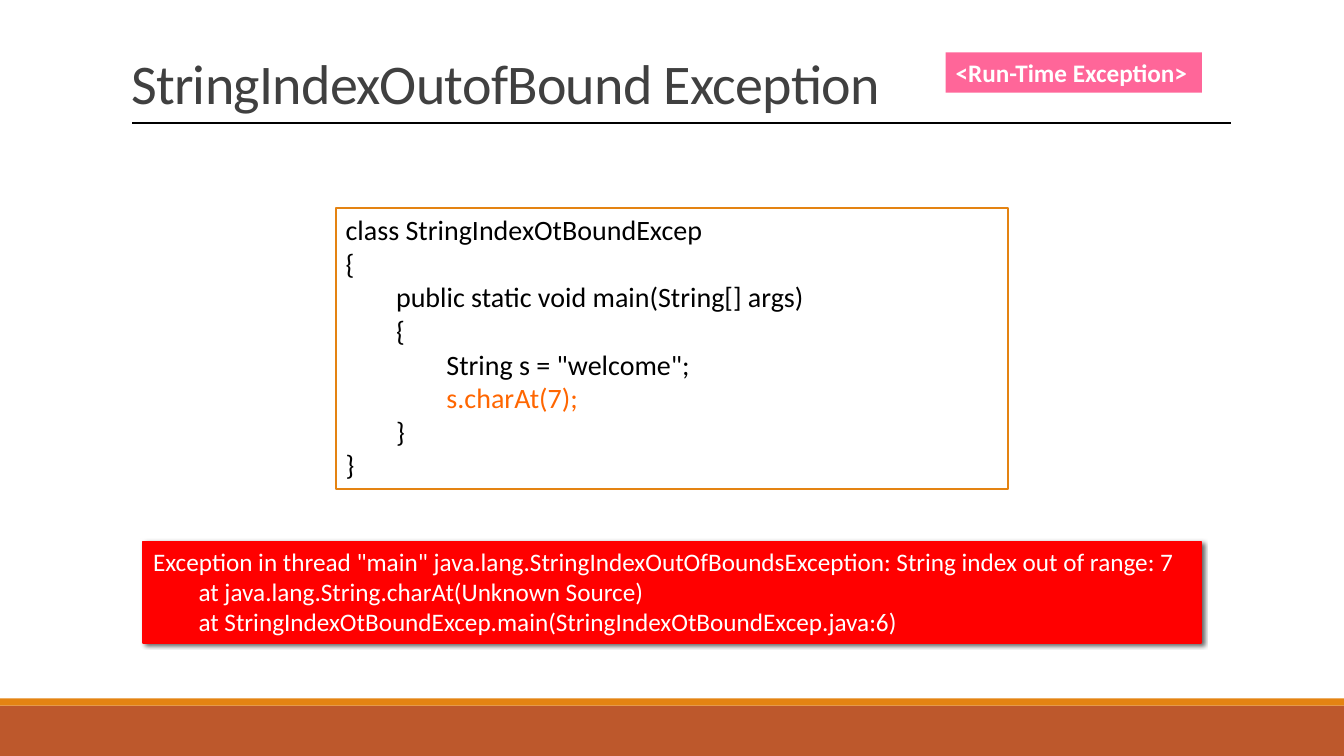
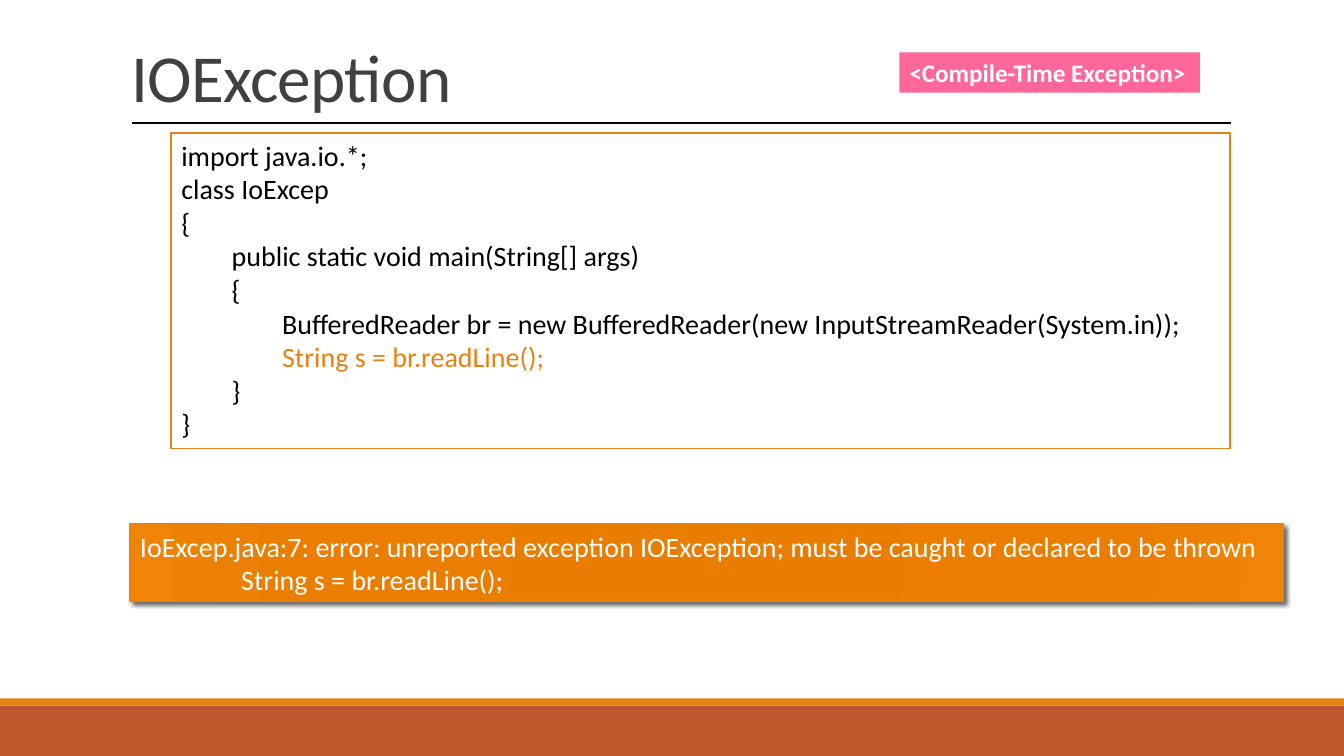
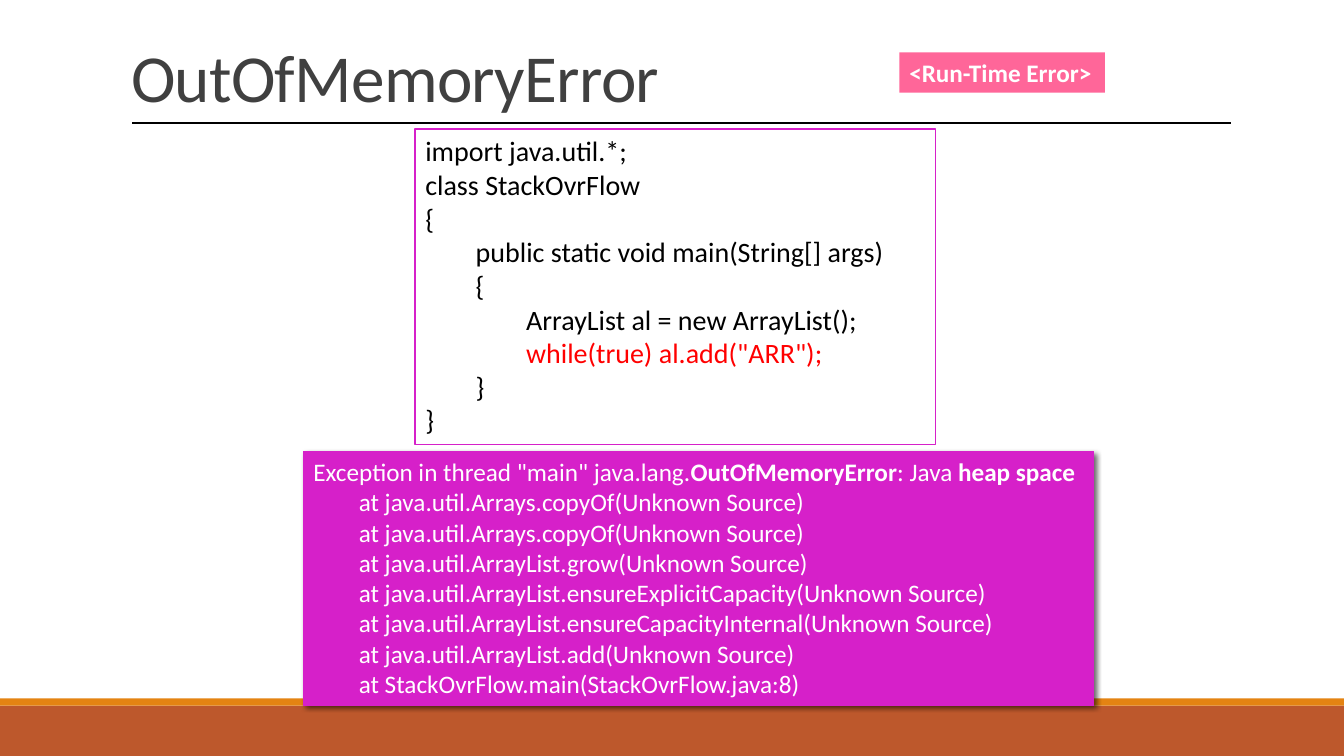
import pptx
import pptx.dml.color
import pptx.enum.shapes
import pptx.enum.text
import pptx.oxml
import pptx.oxml.ns
import pptx.util

Inches = pptx.util.Inches
Pt = pptx.util.Pt
NS = pptx.oxml.ns.nsdecls("a")

COLORS = {
    "white": "FFFFFF",
    "black": "000000",
    "title": "404040",
    "rust": "BD582C",
    "amber": "E48312",
    "orange": "FF6600",
    "red": "FF0000",
    "pink": "FF6699",
    "magenta": "D620C9",
}
AMBER_GLOW = [(0, "E57B00"), (34, "E87D00"), (70, "EB7E00"), (100, "EF8407")]


def rgb(name):
    return pptx.dml.color.RGBColor.from_string(COLORS[name])


def add_run(p, text, size=20, color="black", bold=False, spacing=None):
    """Append one formatted run to a paragraph."""
    r = p.add_run()
    r.text = text
    r.font.name = "Calibri"
    r.font.size = Pt(size)
    r.font.bold = bold
    r.font.color.rgb = rgb(color)
    if spacing is not None:
        r.font._element.set("spc", str(int(spacing * 100)))


class Deck:
    """Holds the shared style and the slide being built."""

    def __init__(self):
        self.prs = pptx.Presentation()
        self.prs.slide_width = Inches(13.33)
        self.prs.slide_height = Inches(7.5)
        self.slide = None

    def add_slide(self, title, size=48):
        self.slide = self.prs.slides.add_slide(self.prs.slide_layouts[5])
        # Bottom bands and title rule
        self.rect(0, 7, 13.33, 0.5, "rust")
        self.rect(0, 6.93, 13.33, 0.07, "amber")
        rule = self.slide.shapes.add_connector(
            pptx.enum.shapes.MSO_CONNECTOR.STRAIGHT,
            Inches(1.31), Inches(1.22), Inches(12.21), Inches(1.22))
        rule.line.color.rgb = rgb("black")
        rule.line.width = Pt(1)
        rule._element.spPr.append(pptx.oxml.parse_xml(f"<a:effectLst {NS}/>"))
        # Title
        sp = self.slide.shapes.title
        sp.left, sp.top = Inches(1.2), Inches(0.25)
        sp.width, sp.height = Inches(11), Inches(0.95)
        tf = sp.text_frame
        tf.auto_size = pptx.enum.text.MSO_AUTO_SIZE.NONE
        tf.vertical_anchor = pptx.enum.text.MSO_ANCHOR.BOTTOM
        p = tf.paragraphs[0]
        p.alignment = pptx.enum.text.PP_ALIGN.LEFT
        p.line_spacing = 0.85
        add_run(p, title, size=size, color="title", spacing=-0.5)

    def rect(self, x, y, w, h, fill, line=None, width=1):
        sp = self.slide.shapes.add_shape(
            pptx.enum.shapes.MSO_SHAPE.RECTANGLE,
            Inches(x), Inches(y), Inches(w), Inches(h))
        sp.shadow.inherit = False
        sp.fill.solid()
        sp.fill.fore_color.rgb = rgb(fill)
        if line:
            sp.line.color.rgb = rgb(line)
            sp.line.width = Pt(width)
        else:
            sp.line.fill.background()
        return sp

    def paragraphs(self, sp, lines, wrap=True):
        """Yield a left-aligned paragraph with each line of text."""
        tf = sp.text_frame
        tf.word_wrap = wrap
        tf.auto_size = pptx.enum.text.MSO_AUTO_SIZE.SHAPE_TO_FIT_TEXT
        tf.vertical_anchor = pptx.enum.text.MSO_ANCHOR.TOP
        for i, text in enumerate(lines):
            p = tf.add_paragraph() if i else tf.paragraphs[0]
            p.alignment = pptx.enum.text.PP_ALIGN.LEFT
            yield p, text

    def tag(self, x, w, text):
        sp = self.rect(x, 0.52, w, 0.4, "pink")
        for p, line in self.paragraphs(sp, [text], wrap=False):
            add_run(p, line, size=18, color="white", bold=True)

    def code(self, x, y, w, h, lines, culprit, color, border="amber"):
        """Code box; the line that fails is coloured."""
        sp = self.rect(x, y, w, h, "white", border, 1.25)
        stops = "".join(f'<a:tab pos="{Inches(n / 2)}" algn="l"/>' for n in (1, 2))
        for p, line in self.paragraphs(sp, lines):
            p._p.get_or_add_pPr().append(
                pptx.oxml.parse_xml(f"<a:tabLst {NS}>{stops}</a:tabLst>"))
            add_run(p, line, color=color if line.strip() == culprit else "black")

    def error(self, x, y, w, h, lines, fill, size=18, width=1, blur=3, glow=None):
        """Message box with a shadow; ** marks bold text."""
        sp = self.rect(x, y, w, h, fill, fill, width)
        spPr = sp._element.spPr
        if glow:
            stops = "".join(f'<a:gs pos="{pos * 1000}"><a:srgbClr val="{c}"/></a:gs>'
                            for pos, c in glow)
            solid = spPr.find(pptx.oxml.ns.qn("a:solidFill"))
            spPr.replace(solid, pptx.oxml.parse_xml(
                f'<a:gradFill {NS} rotWithShape="1"><a:gsLst>{stops}</a:gsLst>'
                '<a:path path="circle"><a:fillToRect l="100000" t="100000" '
                'r="100000" b="100000"/></a:path></a:gradFill>'))
        spPr.find(pptx.oxml.ns.qn("a:effectLst")).append(pptx.oxml.parse_xml(
            f'<a:outerShdw {NS} blurRad="{Pt(blur)}" dist="{Pt(2)}" dir="2700000" '
            f'algn="tl" rotWithShape="0"><a:srgbClr val="{COLORS["black"]}">'
            '<a:alpha val="60000"/></a:srgbClr></a:outerShdw>'))
        for p, line in self.paragraphs(sp, lines):
            for i, part in enumerate(line.split("**")):
                if part:
                    add_run(p, part, size=size, color="white", bold=i % 2 == 1)


def java_class(name, body, imports=()):
    """Lines of a class whose main method holds the body."""
    return [*imports, f"class {name}", "{",
            "\tpublic static void main(String[] args)", "\t{",
            *(f"\t\t{line}" for line in body), "\t}", "}"]


def trace(first, calls):
    return [first] + [f"        at {call}" for call in calls]


def main():
    deck = Deck()

    # String index
    deck.add_slide("StringIndexOutofBound Exception", size=40)
    culprit = "s.charAt(7);"
    deck.code(3.33, 2.06, 6.67, 2.79,
              java_class("StringIndexOtBoundExcep",
                         ['String s = "welcome";', culprit]),
              culprit, "orange")
    deck.error(1.42, 5.37, 10.49, 1.01, trace(
        'Exception in thread "main" java.lang.StringIndexOutOfBoundsException: '
        "String index out of range: 7",
        ["java.lang.String.charAt(Unknown Source)",
         "StringIndexOtBoundExcep.main(StringIndexOtBoundExcep.java:6)"]), "red")
    deck.tag(9.38, 2.54, "<Run-Time Exception>")

    # Input and output
    deck.add_slide("IOException")
    deck.tag(8.92, 2.98, "<Compile-Time Exception>")
    culprit = "String s = br.readLine();"
    deck.code(1.7, 1.32, 10.5, 3.13,
              java_class("IoExcep",
                         ["BufferedReader br = new BufferedReader("
                          "new InputStreamReader(System.in));", culprit],
                         ["import java.io.*;"]),
              culprit, "amber")
    deck.error(1.29, 5.2, 11.44, 0.77, [
        "IoExcep.java:7: error: unreported exception IOException; "
        "must be caught or declared to be thrown",
        "                " + culprit], "amber", size=20, glow=AMBER_GLOW)

    # Memory
    deck.add_slide("OutOfMemoryError")
    culprit = 'while(true) al.add("ARR");'
    deck.code(4.12, 1.28, 5.16, 3.13,
              java_class("StackOvrFlow",
                         ["ArrayList al = new ArrayList();", culprit],
                         ["import java.util.*;"]),
              culprit, "red", border="magenta")
    methods = ["Arrays.copyOf", "Arrays.copyOf", "ArrayList.grow",
               "ArrayList.ensureExplicitCapacity",
               "ArrayList.ensureCapacityInternal", "ArrayList.add"]
    deck.error(3.01, 4.48, 7.84, 2.52, trace(
        'Exception in thread "main" java.lang.**OutOfMemoryError**: Java **heap space**',
        [f"java.util.{m}(Unknown Source)" for m in methods]
        + ["StackOvrFlow.main(StackOvrFlow.java:8)"]),
        "magenta", width=0.75, blur=3.5)
    deck.tag(8.92, 2.04, "<Run-Time Error>")

    deck.prs.save("out.pptx")


if __name__ == "__main__":
    main()
